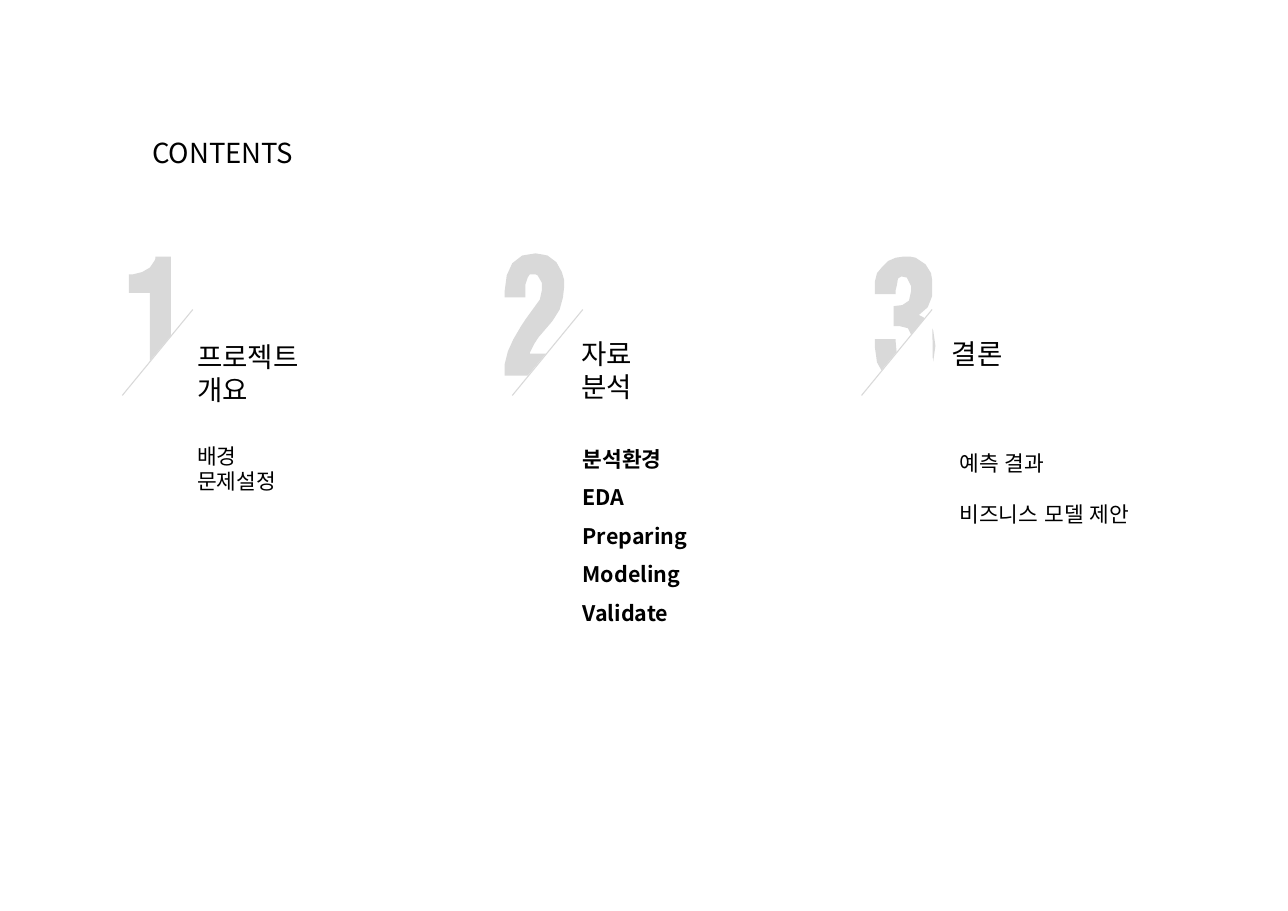
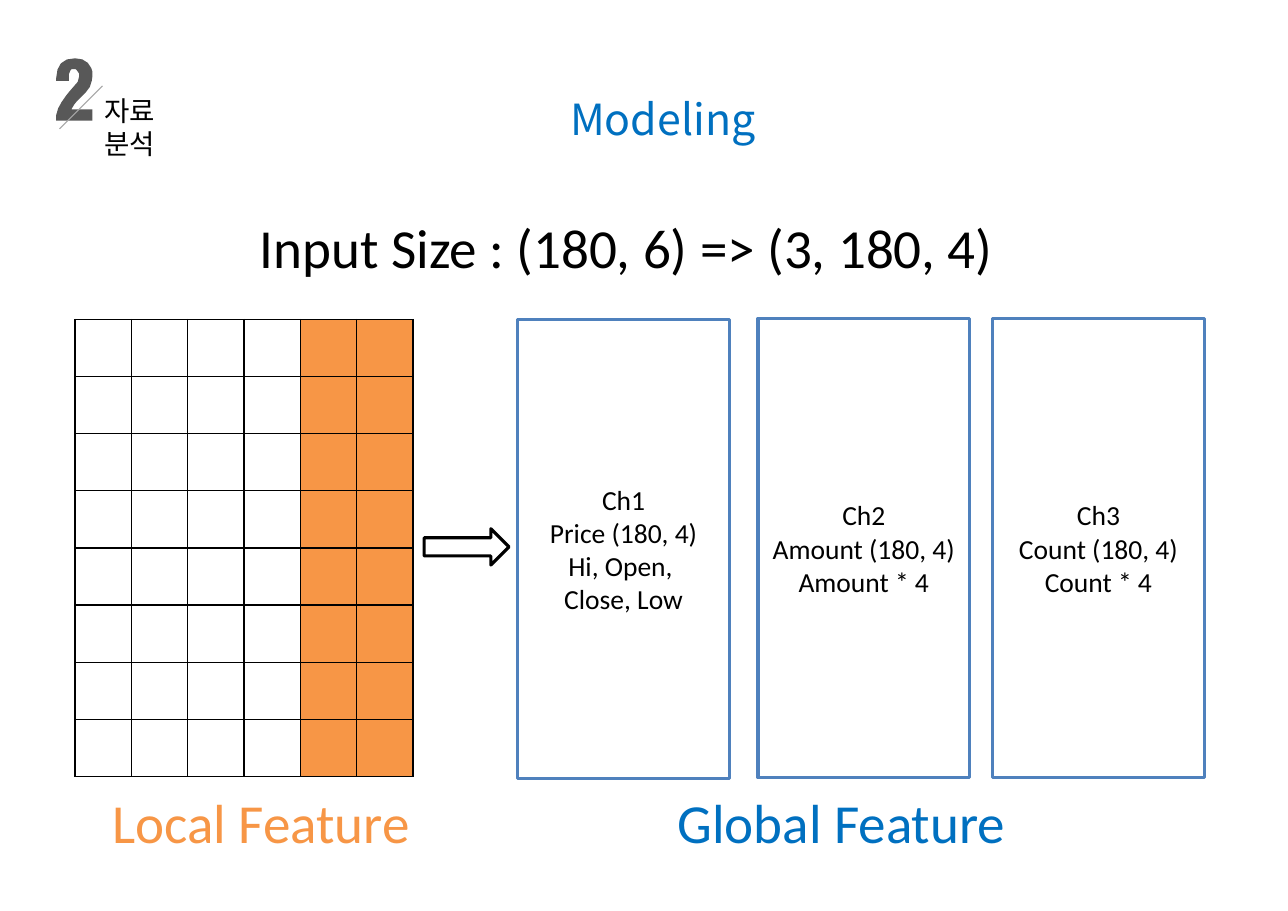
from lxml import etree
from pptx import Presentation
from pptx.dml.color import RGBColor
from pptx.enum.lang import MSO_LANGUAGE_ID
from pptx.enum.shapes import MSO_CONNECTOR, MSO_SHAPE
from pptx.enum.text import MSO_ANCHOR, MSO_AUTO_SIZE, PP_ALIGN
from pptx.oxml.ns import qn
from pptx.util import Pt

LEFT, CENTER = PP_ALIGN.LEFT, PP_ALIGN.CENTER
TOP, MIDDLE = MSO_ANCHOR.TOP, MSO_ANCHOR.MIDDLE
RECTANGLE, RIGHT_ARROW = MSO_SHAPE.RECTANGLE, MSO_SHAPE.RIGHT_ARROW
STRAIGHT = MSO_CONNECTOR.STRAIGHT
NO_AUTOFIT = MSO_AUTO_SIZE.NONE
KOREAN = MSO_LANGUAGE_ID.KOREAN

EMU_PER_PX = 9144  # 100 px to the inch
TITLE_ONLY = 5

# Shared style
KOREAN_FONT, LATIN_FONT = "Noto Sans CJK KR", "Calibri"
BLACK, WHITE = "000000", "FFFFFF"
PALE, MID_GRAY, DARK_GRAY = "D9D9D9", "A6A6A6", "585858"
BLUE, BORDER_BLUE, ORANGE = "0070C0", "4F81BD", "F79646"

# Outlines of the large section digits, in px from their top left
DIGITS = {
    1: [(38, 0), (24, 0), (24, 2), (23, 4), (19, 10), (12, 14), (4, 16),
        (0, 16), (0, 33), (19, 33), (19, 108), (38, 108)],
    2: [(0, 40), (19, 40), (19, 28), (20, 25), (21, 22), (23, 19), (28, 19),
        (30, 20), (34, 27), (34, 33), (32, 42), (19, 60), (15, 66), (8, 78),
        (3, 89), (0, 101), (0, 111), (54, 111), (54, 91), (23, 91), (23, 90),
        (27, 82), (31, 76), (43, 62), (45, 59), (50, 51), (53, 40), (54, 31),
        (54, 24), (52, 17), (47, 8), (39, 2), (34, 1), (28, 0), (16, 2),
        (7, 9), (2, 20), (0, 35)],
    3: [(0, 75), (0, 82), (2, 96), (7, 105), (15, 111), (26, 113), (33, 113),
        (43, 109), (50, 100), (53, 95), (55, 81), (53, 67), (49, 60),
        (44, 55), (40, 53), (48, 46), (52, 36), (52, 21), (51, 15), (46, 7),
        (37, 1), (32, 0), (26, 0), (19, 1), (12, 4), (7, 9), (2, 15), (0, 23),
        (0, 34), (19, 34), (19, 30), (20, 26), (21, 20), (24, 18), (29, 19),
        (33, 27), (33, 31), (31, 40), (25, 44), (17, 45), (17, 63), (22, 63),
        (30, 65), (34, 73), (34, 84), (33, 90), (30, 94), (28, 95), (25, 95),
        (22, 92), (20, 89), (19, 78), (19, 75)],
}


def px(length):
    return round(length * EMU_PER_PX)


def color(hex_value):
    return RGBColor.from_string(hex_value)


class Deck:
    """Holds the presentation, its style and the current slide."""

    def __init__(self, width, height):
        self.presentation = Presentation()
        self.presentation.slide_width = px(width)
        self.presentation.slide_height = px(height)
        self.slide = None

    def add_slide(self, title, box, size, hex_value=BLACK, align=LEFT):
        layout = self.presentation.slide_layouts[TITLE_ONLY]
        self.slide = self.presentation.slides.add_slide(layout)
        shape = self.slide.shapes.title
        shape.left, shape.top, shape.width, shape.height = map(px, box)
        self.set_text(shape, [title], size, hex_value, KOREAN_FONT, align)

    def set_text(self, shape, lines, size, hex_value=BLACK, font=LATIN_FONT,
                 align=LEFT, anchor=TOP, bold=False, spacing=1.0):
        frame = shape.text_frame
        frame.text = "\n".join(lines)
        frame.word_wrap = True
        frame.auto_size = NO_AUTOFIT
        frame.vertical_anchor = anchor
        for paragraph in frame.paragraphs:
            paragraph.alignment = align
            paragraph.line_spacing = spacing
            for run in paragraph.runs:
                run.font.name = font
                run.font.size = Pt(size)
                run.font.bold = bold
                run.font.color.rgb = color(hex_value)
                if font == KOREAN_FONT:
                    run.font.language_id = KOREAN
                    latin = run.font._element.find(qn("a:latin"))
                    east_asian = etree.Element(qn("a:ea"), typeface=font)
                    latin.addnext(east_asian)

    def text(self, box, lines, size, **style):
        shape = self.slide.shapes.add_textbox(*map(px, box))
        self.set_text(shape, lines, size, **style)

    def shape(self, kind, box, line_color, lines=()):
        shape = self.slide.shapes.add_shape(kind, *map(px, box))
        shape.shadow.inherit = False
        shape.fill.solid()
        shape.fill.fore_color.rgb = color(WHITE)
        shape.line.color.rgb = color(line_color)
        shape.line.width = Pt(2)
        if lines:
            self.set_text(shape, lines, 18, align=CENTER, anchor=MIDDLE)

    def outline(self, points, left, top, fill, stretch=(1, 1)):
        scale = tuple(EMU_PER_PX * factor for factor in stretch)
        builder = self.slide.shapes.build_freeform(*points[0], scale=scale)
        builder.add_line_segments(points[1:], close=True)
        shape = builder.convert_to_shape(px(left), px(top))
        shape.shadow.inherit = False
        shape.fill.solid()
        shape.fill.fore_color.rgb = color(fill)
        shape.line.fill.background()

    def line(self, start, end, hex_value):
        connector = self.slide.shapes.add_connector(
            STRAIGHT, *map(px, start + end))
        connector.line.color.rgb = color(hex_value)
        connector.line.width = Pt(0.72)
        etree.SubElement(connector._element.spPr, qn("a:effectLst"))

    def grid(self, box, rows, columns, filled_columns, fill):
        table = self.slide.shapes.add_table(
            rows, columns, *map(px, box)).table
        table.first_row = table.horz_banding = False
        for row in table.rows:
            for column, cell in enumerate(row.cells):
                self.cell_borders(cell)
                cell.fill.solid()
                cell.fill.fore_color.rgb = color(
                    fill if column in filled_columns else WHITE)

    def cell_borders(self, cell):
        properties = cell._tc.get_or_add_tcPr()
        for side in ("lnL", "lnR", "lnT", "lnB"):
            border = etree.SubElement(
                properties, qn(f"a:{side}"), w=str(Pt(1)))
            solid = etree.SubElement(border, qn("a:solidFill"))
            etree.SubElement(solid, qn("a:srgbClr"), val=BLACK)

    def section_heading(self, box, heading):
        self.text(box, [heading], 18, font=KOREAN_FONT)


def build_contents(deck):
    deck.add_slide("CONTENTS", (128, 118, 150, 40), 18)

    # Digits, each cut off along a slanted line
    slash_top, slash_width, slash_height = 281, 64, 78
    cover = [(slash_width, 0), (0, 77), (65, 76)]
    for number, left, top, slash_right in (
            (1, 117, 233, 175), (2, 458, 230, 529), (3, 794, 233, 846)):
        slash_left = slash_right - slash_width
        deck.outline(DIGITS[number], left, top, PALE)
        deck.outline(cover, slash_left, slash_top, WHITE)
        deck.line((slash_right, slash_top),
                  (slash_left, slash_top + slash_height), PALE)

    # Section headings
    deck.section_heading((169, 304, 160, 40), "프로젝트 개요")
    deck.section_heading((518, 301, 115, 40), "자료 분석")
    deck.section_heading((854, 301, 68, 40), "결론")

    # Topics of each section
    for box, topics, spacing, bold in (
            ((169, 397, 195, 57), ["배경", "문제설정"], 1.0, False),
            ((519, 388, 195, 183),
             ["분석환경", "EDA", "Preparing", "Modeling", "Validate"],
             1.5, True),
            ((861, 380, 228, 98), ["예측 결과", "비즈니스 모델 제안"],
             2.0, False)):
        deck.text(box, topics, 14, font=KOREAN_FONT, bold=bold,
                  spacing=spacing)


def build_modeling(deck):
    deck.add_slide("Modeling", (364, 79, 475, 57), 28, BLUE, CENTER)

    # Section mark
    deck.outline(DIGITS[2], 51, 53, DARK_GRAY, stretch=(0.61, 0.51))
    deck.line((93, 78), (54, 117), MID_GRAY)
    deck.section_heading((85, 80, 115, 40), "자료 분석")

    # Input table and arrow
    deck.text((226, 189, 717, 71),
              ["Input Size : (180, 6) => (3, 180, 4)"], 36)
    deck.grid((68, 290, 307, 415), 8, 6, (4, 5), ORANGE)
    deck.shape(RIGHT_ARROW, (385, 480, 77, 33), BLACK)

    # Channels
    for left, top, lines in (
            (470, 290, ["Ch1", "Price (180, 4)", "Hi, Open, ", "Close, Low"]),
            (688, 289, ["Ch2", "Amount (180, 4)", "Amount * 4"]),
            (901, 289, ["Ch3", "Count (180, 4)", "Count * 4"])):
        deck.shape(RECTANGLE, (left, top, 192, 417), BORDER_BLUE, lines)

    # Captions
    deck.text((92, 711, 332, 71), ["Local Feature"], 36, hex_value=ORANGE)
    deck.text((605, 711, 433, 71), ["Global Feature"], 36, hex_value=BLUE)


def main():
    deck = Deck(1169, 827)
    build_contents(deck)
    build_modeling(deck)
    deck.presentation.save("out.pptx")


if __name__ == "__main__":
    main()
